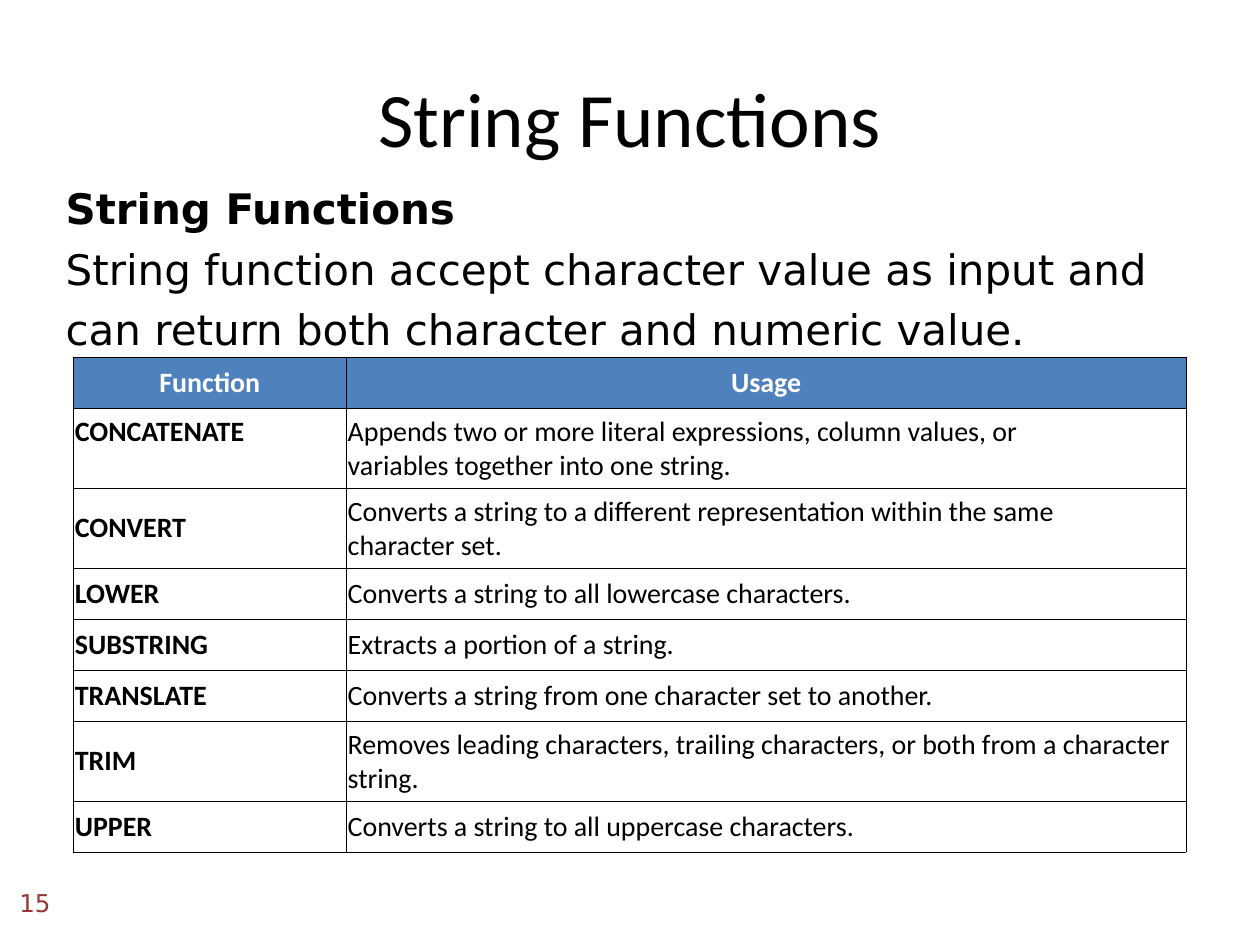
import pptx
import pptx.dml.color
import pptx.enum.text
import pptx.oxml
import pptx.oxml.ns
import pptx.util
from pptx.util import Cm, Pt

ALIGN = pptx.enum.text.PP_ALIGN
MIDDLE = pptx.enum.text.MSO_ANCHOR.MIDDLE
DRAWING_NS = pptx.oxml.ns.nsdecls("a")

FUNCTIONS = [
    ("CONCATENATE\n", "Appends two or more literal expressions, column values, or\n"
                      "variables together into one string."),
    ("CONVERT", "Converts a string to a different representation within the same\n"
                "character set."),
    ("LOWER", "Converts a string to all lowercase characters."),
    ("SUBSTRING", "Extracts a portion of a string."),
    ("TRANSLATE", "Converts a string from one character set to another."),
    ("TRIM", "Removes leading characters, trailing characters, or both from a character string."),
    ("UPPER", "Converts a string to all uppercase characters."),
]
TWO_LINE_ROWS = (1, 2, 6)


def rgb(value):
    return pptx.dml.color.RGBColor.from_string(value)


class FunctionSlide:
    HEADING_FONT = "Calibri"
    BODY_FONT = "DejaVu Sans"
    INK, PAPER, HEADER, ACCENT = "000000", "FFFFFF", "4F81BD", "953735"

    def __init__(self, deck):
        self.slide = deck.slides.add_slide(deck.slide_layouts[1])

    def set_text(self, paragraph, text, size, font, color=INK, bold=False, align=ALIGN.LEFT):
        paragraph.text = text
        paragraph.alignment = align
        paragraph.font.size = Pt(size)
        paragraph.font.name = font
        paragraph.font.bold = bold
        paragraph.font.color.rgb = rgb(color)

    def place(self, shape, left, top, width, height):
        shape.left, shape.top = Cm(left), Cm(top)
        shape.width, shape.height = Cm(width), Cm(height)

    def title(self, text, *box):
        heading = self.slide.shapes.title
        self.place(heading, *box)
        heading.text_frame.vertical_anchor = MIDDLE
        self.set_text(heading.text_frame.paragraphs[0], text, 44, self.HEADING_FONT,
                      align=ALIGN.CENTER)

    def body(self, lines, *box):
        """Fill the body with unbulleted (text, bold) lines."""
        body = self.slide.placeholders[1]
        self.place(body, *box)
        frame = body.text_frame
        frame.auto_size = pptx.enum.text.MSO_AUTO_SIZE.NONE
        for index, (text, bold) in enumerate(lines):
            paragraph = frame.add_paragraph() if index else frame.paragraphs[0]
            paragraph.line_spacing = 1.2
            paragraph.space_before = Pt(0)
            properties = paragraph._p.get_or_add_pPr()
            properties.set("marL", "0")
            properties.set("indent", "0")
            properties.append(pptx.oxml.parse_xml(f"<a:buNone {DRAWING_NS}/>"))
            self.set_text(paragraph, text, 24, self.BODY_FONT, bold=bold)

    def page_number(self, number, *box):
        label = self.slide.shapes.add_textbox(*map(Cm, box))
        label.text_frame.word_wrap = True
        label.text_frame.vertical_anchor = MIDDLE
        self.set_text(label.text_frame.paragraphs[0], number, 14, self.BODY_FONT,
                      self.ACCENT, align=ALIGN.RIGHT)

    def border(self, cell):
        properties = cell._tc.get_or_add_tcPr()
        for side in ("lnL", "lnR", "lnT", "lnB"):
            properties.append(pptx.oxml.parse_xml(
                f'<a:{side} {DRAWING_NS} w="{Pt(0.45)}"><a:solidFill>'
                f'<a:srgbClr val="{self.INK}"/></a:solidFill></a:{side}>'))

    def table(self, rows, left, top, widths, heights):
        table = self.slide.shapes.add_table(
            len(rows), len(widths), Cm(left), Cm(top),
            Cm(sum(widths)), Cm(sum(heights))).table
        table.horz_banding = False
        for column, width in zip(table.columns, widths):
            column.width = Cm(width)
        for r, (texts, height) in enumerate(zip(rows, heights)):
            table.rows[r].height = Cm(height)
            header = r == 0
            for c, text in enumerate(texts):
                cell = table.cell(r, c)
                cell.vertical_anchor = MIDDLE
                cell.margin_left = cell.margin_right = Cm(0.03)
                self.border(cell)
                if header:
                    cell.fill.solid()
                    cell.fill.fore_color.rgb = rgb(self.HEADER)
                else:
                    cell.fill.background()
                self.set_text(cell.text_frame.paragraphs[0], text, 16, self.HEADING_FONT,
                              self.PAPER if header else self.INK, bold=header or c == 0,
                              align=ALIGN.CENTER if header else ALIGN.LEFT)


def main():
    deck = pptx.Presentation()
    deck.slide_width, deck.slide_height = Cm(25.4), Cm(19.05)
    page = FunctionSlide(deck)
    page.title("String Functions", 1.27, 0.76, 22.86, 3.18)
    page.page_number("15", 0, 17.81, 1.27, 0.76)
    page.body([
        ("String Functions", True),
        ("String function accept character value as input and "
         "can return both character and numeric value.", False),
    ], 1.07, 3.35, 23.06, 7.57)
    rows = [("Function", "Usage")] + FUNCTIONS
    heights = [1.37 if r in TWO_LINE_ROWS else 1.03 for r in range(len(rows))]
    page.table(rows, 1.48, 7.2, (5.5, 16.93), heights)
    deck.save("out.pptx")


if __name__ == "__main__":
    main()
